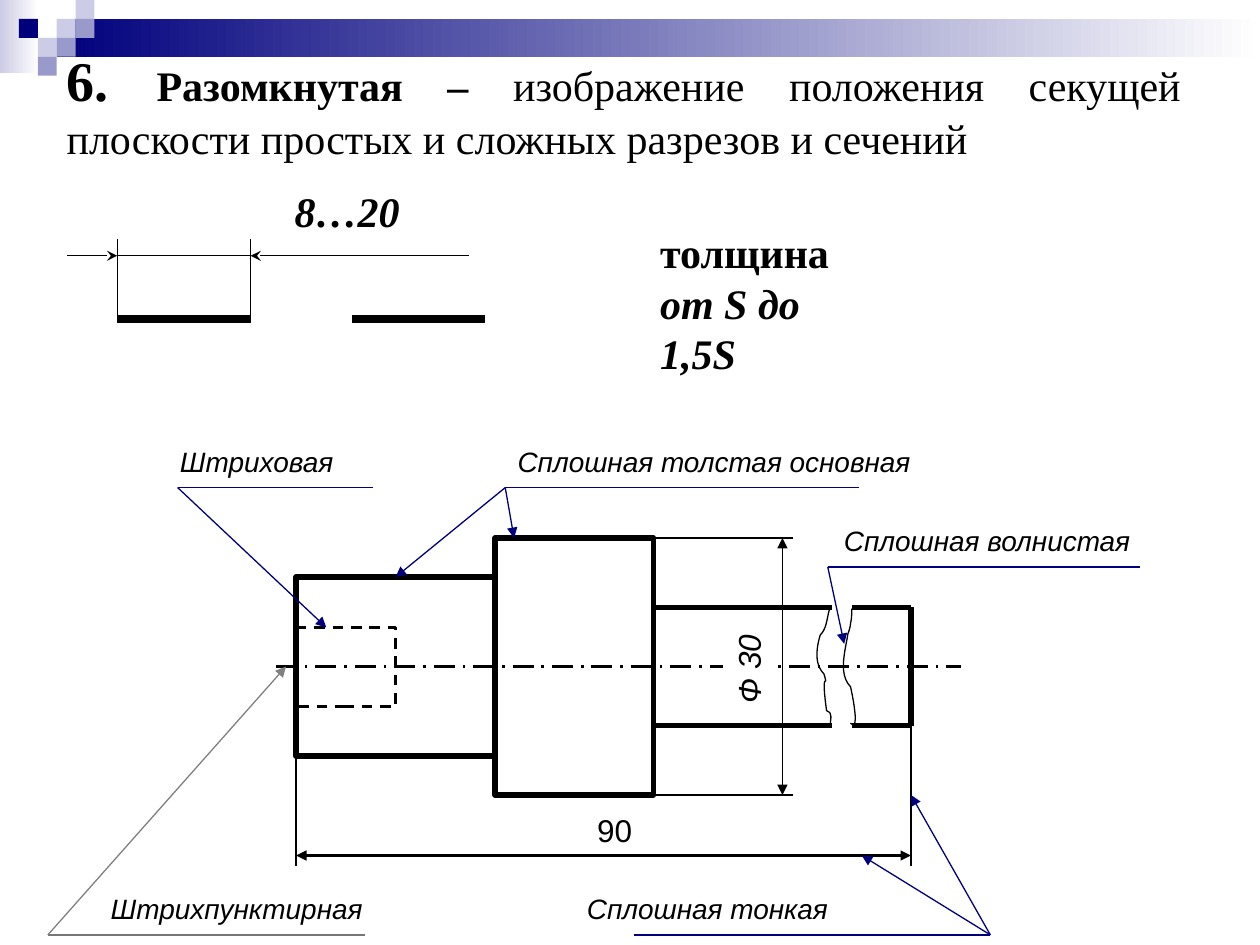
from dataclasses import dataclass
from typing import Optional

from lxml import etree
from pptx import Presentation
from pptx.dml.color import RGBColor
from pptx.enum import dml, shapes, text
from pptx.oxml import ns
from pptx.util import Inches, Pt

BLACK = RGBColor(0x00, 0x00, 0x00)
WHITE = RGBColor(0xFF, 0xFF, 0xFF)
NAVY = RGBColor(0x00, 0x00, 0x7D)
LAVENDER = RGBColor(0xCC, 0xCC, 0xE6)
VIOLET = RGBColor(0x99, 0x99, 0xCC)
GRAY = RGBColor(0x80, 0x80, 0x80)
DARK_GRAY = RGBColor(0x77, 0x77, 0x77)

THIN, MEDIUM, THICK, HEAVY = 0.75, 1.5, 3, 4.5
SERIF, SANS = "Times New Roman", "Arial"
DASH = dml.MSO_LINE.DASH
DASH_DOT = dml.MSO_LINE.LONG_DASH_DOT

# Key coordinates of the shaft drawing
LEFT, STEP, COLLAR, RIGHT = 2.35, 3.93, 5.19, 7.23
TOP, BOTTOM = 4.27, 6.31
NECK_TOP, NECK_BOTTOM, AXIS = 4.82, 5.76, 5.29
DIAMETER_X, LENGTH_Y = 6.21, 6.79
SHELF, LOW_SHELF, WAVY_SHELF = 3.87, 7.42, 4.5
SECTION_Y, ARROW_Y = 2.53, 2.03


@dataclass
class Line:
    x1: float
    y1: float
    x2: float
    y2: float
    width: float = THIN
    color: RGBColor = BLACK
    head: Optional[str] = None
    tail: Optional[str] = None
    dash: Optional[dml.MSO_LINE] = None


@dataclass
class Run:
    text: str
    size: float
    font: str = SERIF
    bold: bool = False
    italic: bool = False


def draw_line(slide, line: Line) -> None:
    shape = slide.shapes.add_connector(
        shapes.MSO_CONNECTOR.STRAIGHT,
        Inches(line.x1), Inches(line.y1), Inches(line.x2), Inches(line.y2))
    shape.line.color.rgb = line.color
    shape.line.width = Pt(line.width)
    if line.dash is not None:
        shape.line.dash_style = line.dash
    outline = shape.line._get_or_add_ln()
    for tag, kind in (("a:headEnd", line.head), ("a:tailEnd", line.tail)):
        if kind:
            etree.SubElement(outline, ns.qn(tag), type=kind)
    etree.SubElement(shape._element.spPr, ns.qn("a:effectLst"))


def draw_rectangle(slide, left: float, top: float, width: float, height: float,
                   fill: Optional[RGBColor] = None, fade: bool = False,
                   line_width: float = 0, dash: Optional[dml.MSO_LINE] = None):
    shape = slide.shapes.add_shape(
        shapes.MSO_SHAPE.RECTANGLE,
        Inches(left), Inches(top), Inches(width), Inches(height))
    shape.shadow.inherit = False
    if fade:
        shape.fill.gradient()
        shape.fill.gradient_angle = 0
        for stop, color, position in zip(shape.fill.gradient_stops, (fill, WHITE), (0, 1)):
            stop.color.rgb = color
            stop.position = position
    elif fill is not None:
        shape.fill.solid()
        shape.fill.fore_color.rgb = fill
    else:
        shape.fill.background()
    if line_width:
        shape.line.color.rgb = BLACK
        shape.line.width = Pt(line_width)
        if dash is not None:
            shape.line.dash_style = dash
    else:
        shape.line.fill.background()
    return shape


def write_text(slide, left: float, top: float, width: float, height: float,
               paragraphs: list[list[Run]], *, align=text.PP_ALIGN.LEFT,
               wrap: bool = True, fill: Optional[RGBColor] = None,
               rotation: float = 0) -> None:
    shape = slide.shapes.add_textbox(
        Inches(left), Inches(top), Inches(width), Inches(height))
    shape.rotation = rotation
    if fill is not None:
        shape.fill.solid()
        shape.fill.fore_color.rgb = fill
    frame = shape.text_frame
    frame.word_wrap = wrap
    frame.auto_size = text.MSO_AUTO_SIZE.SHAPE_TO_FIT_TEXT
    for index, runs in enumerate(paragraphs):
        paragraph = frame.add_paragraph() if index else frame.paragraphs[0]
        paragraph.alignment = align
        for item in runs:
            run = paragraph.add_run()
            run.text = item.text
            run.font.name = item.font
            run.font.size = Pt(item.size)
            run.font.bold = item.bold
            run.font.italic = item.italic
            run.font.color.rgb = BLACK


def draw_curve(slide, start: tuple, segments: list[tuple], steps: int = 12) -> None:
    """Draw cubic curves, each given by two control points and an end point."""
    points = []
    origin = start
    for curve in segments:
        p0, p1, p2, p3 = origin, curve[0:2], curve[2:4], curve[4:6]
        for t in (step / steps for step in range(1, steps + 1)):
            points.append(tuple(
                Inches((1 - t) ** 3 * a + 3 * (1 - t) ** 2 * t * b
                       + 3 * (1 - t) * t ** 2 * c + t ** 3 * d)
                for a, b, c, d in zip(p0, p1, p2, p3)))
        origin = p3
    builder = slide.shapes.build_freeform(Inches(start[0]), Inches(start[1]))
    builder.add_line_segments(points, close=False)
    shape = builder.convert_to_shape()
    shape.shadow.inherit = False
    shape.fill.background()
    shape.line.color.rgb = BLACK
    shape.line.width = Pt(THIN)


def draw_banner(slide) -> None:
    draw_rectangle(slide, 0, 0, 0.31, 0.58, LAVENDER, fade=True)
    draw_rectangle(slide, 0.45, 0.15, 9.55, 0.3, NAVY, fade=True)
    cell = 0.15
    for column, row, color in ((3, 1, LAVENDER), (4, 0, LAVENDER), (4, 1, VIOLET),
                               (2, 2, LAVENDER), (1, 1, NAVY), (3, 2, VIOLET),
                               (2, 3, VIOLET)):
        draw_rectangle(slide, column * cell, row * cell, cell, cell, color)


def draw_section_sample(slide) -> None:
    left, right = 0.93, 1.99
    for x in (left, 2.79):
        draw_line(slide, Line(x, SECTION_Y, x + right - left, SECTION_Y, HEAVY))
    for x in (left, right):
        draw_line(slide, Line(x, SECTION_Y, x, 1.9))
    draw_line(slide, Line(0.53, ARROW_Y, left, ARROW_Y, tail="stealth"))
    draw_line(slide, Line(left, ARROW_Y, right, ARROW_Y))
    draw_line(slide, Line(right, ARROW_Y, 3.72, ARROW_Y, head="stealth"))
    write_text(slide, 2.24, 1.42, 1.03, 0.5,
               [[Run("8…20", 24, bold=True, italic=True)]], wrap=False)
    write_text(slide, 5.14, 1.75, 1.99, 0.9,
               [[Run("толщина", 24, bold=True)],
                [Run("от S до 1,5S", 24, bold=True, italic=True)]], wrap=False)


def draw_shaft(slide) -> None:
    draw_rectangle(slide, LEFT, 4.58, STEP - LEFT, 1.42, line_width=THICK)
    draw_rectangle(slide, STEP, TOP, COLLAR - STEP, BOTTOM - TOP, line_width=THICK)
    draw_rectangle(slide, LEFT, 4.98, 0.79, 0.63, line_width=MEDIUM, dash=DASH)
    draw_line(slide, Line(2.19, AXIS, 7.63, AXIS, MEDIUM, dash=DASH_DOT))
    # Diameter and length dimensions
    draw_line(slide, Line(DIAMETER_X, TOP, DIAMETER_X, BOTTOM, 1,
                          head="triangle", tail="triangle"))
    for y in (TOP, BOTTOM):
        draw_line(slide, Line(COLLAR, y, 6.29, y, MEDIUM))
    write_text(slide, 5.43, 4.97, 1.02, 0.4, [[Run("Ф 30", 18, SANS, italic=True)]],
               fill=WHITE, rotation=270)
    for x, y in ((LEFT, 6), (RIGHT, NECK_BOTTOM)):
        draw_line(slide, Line(x, y, x, 6.87, MEDIUM))
    draw_line(slide, Line(LEFT, LENGTH_Y, RIGHT, LENGTH_Y, MEDIUM,
                          head="triangle", tail="triangle"))
    write_text(slide, 4.64, 6.39, 0.63, 0.4, [[Run("90", 18, SANS)]])
    # Neck with its break
    for y in (NECK_TOP, NECK_BOTTOM):
        draw_line(slide, Line(COLLAR, y, 6.6, y, THICK))
        draw_line(slide, Line(6.76, y, RIGHT, y, THICK))
    draw_line(slide, Line(RIGHT, NECK_TOP, RIGHT, NECK_BOTTOM, THICK))
    draw_curve(slide, (6.59, 4.82), [
        (6.56, 4.89, 6.57, 4.98, 6.51, 5.04), (6.48, 5.14, 6.46, 5.27, 6.54, 5.35),
        (6.58, 5.49, 6.51, 5.27, 6.56, 5.64), (6.57, 5.65, 6.59, 5.65, 6.59, 5.67),
        (6.6, 5.69, 6.59, 5.72, 6.59, 5.75)])
    draw_curve(slide, (6.76, 4.83), [
        (6.76, 4.87, 6.76, 4.91, 6.75, 4.95), (6.75, 4.98, 6.73, 5.03, 6.73, 5.03),
        (6.71, 5.16, 6.65, 5.35, 6.75, 5.45), (6.76, 5.49, 6.83, 5.82, 6.75, 5.74)])


def draw_callouts(slide) -> None:
    # Shelf start, shelf end, shelf height, colours of shelf and leaders, targets
    for x, end, y, color, leader, targets in (
            (4.01, 6.82, SHELF, NAVY, NAVY, ((3.14, 4.58), (4.08, TOP))),
            (1.41, 2.96, SHELF, NAVY, NAVY, ((2.59, 4.98),)),
            (7.86, 5.03, LOW_SHELF, NAVY, NAVY, ((RIGHT, BOTTOM), (6.84, LENGTH_Y))),
            (6.57, 9.05, WAVY_SHELF, NAVY, NAVY, ((6.7, 5.11),)),
            (0.38, 2.9, LOW_SHELF, DARK_GRAY, GRAY, ((2.27, AXIS),))):
        draw_line(slide, Line(x, y, end, y, color=color))
        for target in targets:
            draw_line(slide, Line(x, y, *target, color=leader, tail="triangle"))
    for label, left, shelf, width in (
            ("Сплошная волнистая", 6.6, WAVY_SHELF, 2.6),
            ("Сплошная толстая основная", 4.01, SHELF, 3.47),
            ("Штриховая", 1.33, SHELF, 1.65),
            ("Штрихпунктирная", 0.78, LOW_SHELF, 2.48),
            ("Сплошная тонкая", 4.56, LOW_SHELF, 2.52)):
        write_text(slide, left, shelf - 0.39, width, 0.37,
                   [[Run(label, 16, SANS, italic=True)]])


def main() -> None:
    presentation = Presentation()
    presentation.slide_width, presentation.slide_height = Inches(10), Inches(7.5)
    slide = presentation.slides.add_slide(presentation.slide_layouts[6])
    draw_banner(slide)
    write_text(slide, 0.43, 0.31, 9.04, 1.04, [[
        Run("6. ", 32, bold=True), Run("Разомкнутая – ", 24, bold=True),
        Run("изображение положения секущей плоскости простых и сложных разрезов и сечений",
            24)]], align=text.PP_ALIGN.JUSTIFY)
    draw_section_sample(slide)
    draw_shaft(slide)
    draw_callouts(slide)
    presentation.save("out.pptx")


if __name__ == "__main__":
    main()
